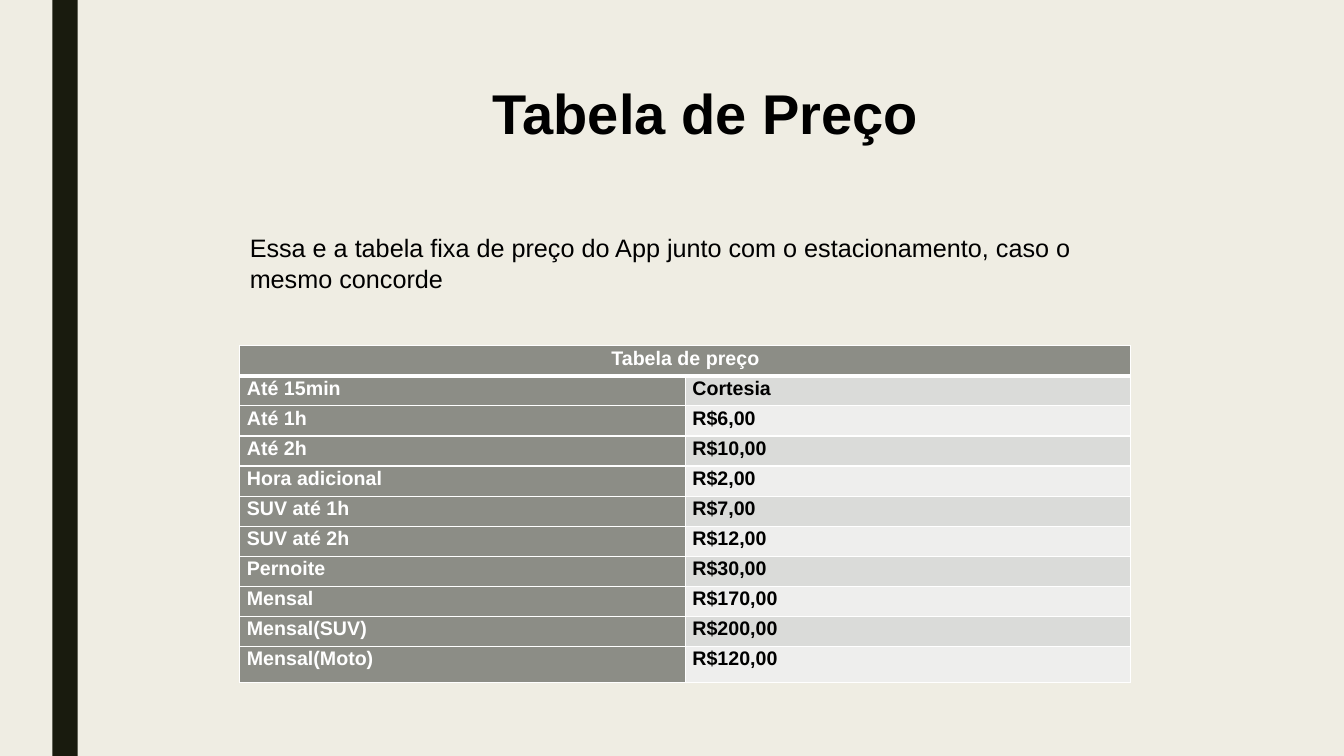
from typing import NamedTuple

from lxml import etree
from pptx import Presentation
from pptx.dml.color import RGBColor
from pptx.enum import shapes, text
from pptx.oxml import ns
from pptx.util import Pt

COLORS = {
    "background": "EFEDE3",
    "bar": "191B0E",
    "label": "8C8D86",
    "band_dark": "DADBD9",
    "band_light": "EEEEED",
    "white": "FFFFFF",
    "black": "000000",
}
FONT = "Arial"
ROW_HEIGHT, LAST_ROW_HEIGHT = 21.5, 25.4


class Box(NamedTuple):
    left: float
    top: float
    width: float
    height: float

    def emu(self) -> list:
        return [Pt(v) for v in self]


class TextBlock(NamedTuple):
    words: str
    box: Box
    size: float
    bold: bool
    wrap: bool
    align: text.PP_ALIGN


class Price(NamedTuple):
    label: str
    value: str


TEXTS = [
    TextBlock("Tabela de Preço", Box(342, 52.56, 323.3, 77.8), 40, True, False,
              text.PP_ALIGN.CENTER),
    TextBlock("Essa e a tabela fixa de preço do App junto com o estacionamento, "
              "caso o mesmo concorde", Box(171.36, 162.7, 636.48, 51.1), 18, False, True,
              text.PP_ALIGN.LEFT),
]
PRICES = [
    Price("Até 15min", "Cortesia"),
    Price("Até 1h", "R$6,00"),
    Price("Até 2h", "R$10,00"),
    Price("Hora adicional", "R$2,00"),
    Price("SUV até 1h", "R$7,00"),
    Price("SUV até 2h", "R$12,00"),
    Price("Pernoite", "R$30,00"),
    Price("Mensal", "R$170,00"),
    Price("Mensal(SUV)", "R$200,00"),
    Price("Mensal(Moto)", "R$120,00"),
]
TABLE_BOX = Box(171.36, 246.96, 636.48, ROW_HEIGHT * len(PRICES) + LAST_ROW_HEIGHT)


def rgb(name: str) -> RGBColor:
    return RGBColor.from_string(COLORS[name])


def set_font(p, size: float, color: str, bold: bool) -> None:
    p.font.name, p.font.size, p.font.bold = FONT, Pt(size), bold
    p.font.color.rgb = rgb(color)


def add_text(slide, block: TextBlock) -> None:
    tf = slide.shapes.add_textbox(*block.box.emu()).text_frame
    tf.word_wrap = block.wrap
    tf.auto_size = text.MSO_AUTO_SIZE.SHAPE_TO_FIT_TEXT
    p = tf.paragraphs[0]
    p.text, p.alignment = block.words, block.align
    set_font(p, block.size, "black", block.bold)


def set_borders(cell, top: float = 1, bottom: float = 1) -> None:
    tc_pr = cell._tc.get_or_add_tcPr()
    for side, width in (("L", 1), ("R", 1), ("T", top), ("B", bottom)):
        ln = etree.SubElement(tc_pr, ns.qn(f"a:ln{side}"), w=str(Pt(width)))
        fill = etree.SubElement(ln, ns.qn("a:solidFill"))
        etree.SubElement(fill, ns.qn("a:srgbClr"), val=COLORS["white"])


def style_cell(cell, words: str, fill: str, color: str, align: text.PP_ALIGN) -> None:
    cell.fill.solid()
    cell.fill.fore_color.rgb = rgb(fill)
    cell.margin_left = cell.margin_right = Pt(5)
    cell.margin_top = cell.margin_bottom = 0
    p = cell.text_frame.paragraphs[0]
    p.text, p.alignment, p.line_spacing = words, align, 1.07
    set_font(p, 14, color, True)


def add_price_table(slide) -> None:
    table = slide.shapes.add_table(len(PRICES) + 1, 2, *TABLE_BOX.emu()).table
    table.first_row = table.horz_banding = False
    for row in table.rows:
        row.height = Pt(ROW_HEIGHT)
    table.rows[len(PRICES)].height = Pt(LAST_ROW_HEIGHT)

    # Header across both columns, with a thick rule below
    for col in range(2):
        set_borders(table.cell(0, col), bottom=3)
    header = table.cell(0, 0)
    header.merge(table.cell(0, 1))
    style_cell(header, "Tabela de preço", "label", "white", text.PP_ALIGN.CENTER)

    # Price rows with alternating bands
    for i, price in enumerate(PRICES, 1):
        band = "band_dark" if i % 2 else "band_light"
        looks = (("label", "white"), (band, "black"))
        for col, (words, (fill, color)) in enumerate(zip(price, looks)):
            cell = table.cell(i, col)
            set_borders(cell, top=3 if i == 1 else 1)
            style_cell(cell, words, fill, color, text.PP_ALIGN.LEFT)


def main() -> None:
    prs = Presentation()
    prs.slide_width, prs.slide_height = Pt(960), Pt(540)
    s = prs.slides.add_slide(prs.slide_layouts[6])
    s.background.fill.solid()
    s.background.fill.fore_color.rgb = rgb("background")

    # Side bar
    sp = s.shapes.add_shape(shapes.MSO_SHAPE.RECTANGLE, *Box(37.44, 0, 18, 540).emu())
    sp.shadow.inherit = False
    sp.fill.solid()
    sp.fill.fore_color.rgb = rgb("bar")
    sp.line.fill.background()

    # Title, introduction and prices
    for block in TEXTS:
        add_text(s, block)
    add_price_table(s)
    prs.save("out.pptx")


if __name__ == "__main__":
    main()
